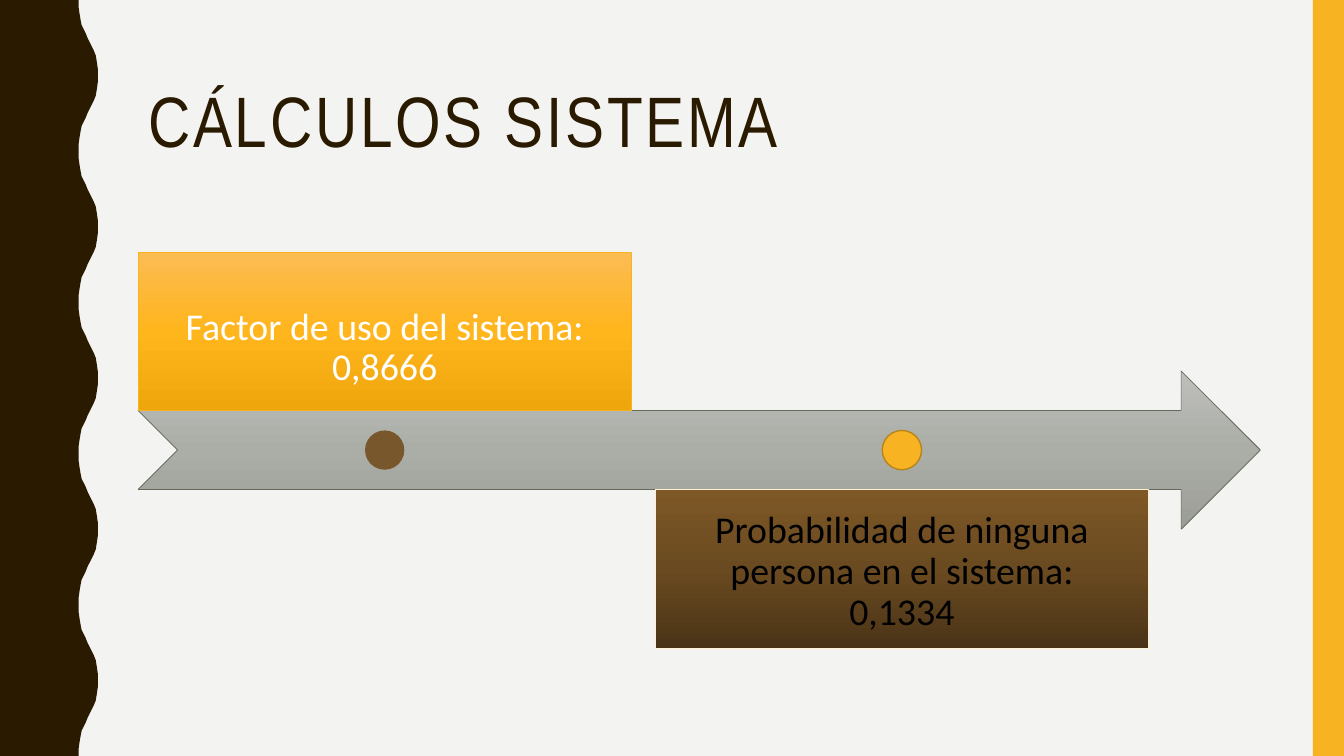
from copy import deepcopy
from pptx import Presentation
from pptx.dml.color import RGBColor
from pptx.enum.shapes import MSO_SHAPE as Kind
from pptx.enum.text import MSO_ANCHOR as Anchor, PP_ALIGN as Align
from pptx.oxml.ns import qn
from pptx.util import Inches, Pt


def color(code):
    return RGBColor.from_string(code)


def write(shape, text, font="Calibri", size=27, ink="000000", align=Align.CENTER,
          anchor=Anchor.TOP, inset=0.21, track=0):
    frame = shape.text_frame
    frame.word_wrap = True
    frame.vertical_anchor = anchor
    frame.margin_left = frame.margin_right = Inches(inset)
    frame.margin_top = frame.margin_bottom = Inches(inset)
    para = frame.paragraphs[0]
    para.alignment = align
    para.line_spacing = 0.9
    run = para.add_run()
    run.text = text
    run.font.name = font
    run.font.size = Pt(size)
    run.font.color.rgb = color(ink)
    if track:
        run.font._element.set("spc", str(track * 100))


class Deck:
    dark = "2A1A00"
    gold = "F8B323"
    brown = "78572C"
    back = "F3F3F2"

    def __init__(self):
        self.show = Presentation()
        self.show.slide_width = Inches(13.33)
        self.show.slide_height = Inches(7.5)
        self.slide = self.show.slides.add_slide(self.show.slide_layouts[6])
        fill = self.slide.background.fill
        fill.solid()
        fill.fore_color.rgb = color(self.back)

    def paint(self, shape, fill, line=None, width=0.5):
        shape.shadow.inherit = False
        if isinstance(fill, str):
            shape.fill.solid()
            shape.fill.fore_color.rgb = color(fill)
        else:
            self.blend(shape, fill)
        if line:
            shape.line.color.rgb = color(line)
            shape.line.width = Pt(width)
        else:
            shape.line.fill.background()
        return shape

    def blend(self, shape, tones):
        shape.fill.gradient()
        shape.fill.gradient_angle = 270
        stops = shape.element.spPr.find(".//" + qn("a:gsLst"))
        stops.insert(1, deepcopy(stops[0]))
        for i, (stop, tone) in enumerate(zip(shape.fill.gradient_stops, tones)):
            stop.color.rgb = color(tone)
            stop.position = i / 2

    def shape(self, kind, box, fill, line=None, width=0.5):
        item = self.slide.shapes.add_shape(kind, *map(Inches, box))
        return self.paint(item, fill, line, width)

    def text(self, box, text, **style):
        write(self.slide.shapes.add_textbox(*map(Inches, box)), text, **style)

    def wave(self, count, step):
        rise = [(0.78, 0), (0.78, 0.07), (0.79, 0.14), (0.8, 0.2), (0.81, 0.25),
                (0.83, 0.29), (0.85, 0.33), (0.87, 0.38), (0.89, 0.42), (0.91, 0.46),
                (0.93, 0.5), (0.95, 0.55), (0.96, 0.61), (0.97, 0.68)]
        fall = [(x, step - y) for x, y in reversed(rise)]
        cycle = rise + [(0.97, step / 2)] + fall
        edge = [(x, y + i * step) for i in range(count) for x, y in cycle]
        points = [(Inches(x), Inches(y)) for x, y in edge + [(0, count * step)]]
        pen = self.slide.shapes.build_freeform(0, 0)
        pen.add_line_segments(points, close=True)
        self.paint(pen.convert_to_shape(), self.dark)

    def dot(self, mid, fill, line=None):
        size = 0.39
        self.shape(Kind.OVAL, (mid - size / 2, 4.27, size, size), fill, line, 1)


def main():
    deck = Deck()
    deck.wave(5, 1.5)
    deck.shape(Kind.RECTANGLE, (13.02, 0, 0.31, 7.5), deck.gold)
    deck.text((1.37, 0.42, 11.13, 1.63), "CÁLCULOS SISTEMA", font="Arial Narrow", size=51,
              ink=deck.dark, align=Align.LEFT, anchor=Anchor.MIDDLE, inset=0.1, track=2)

    wide, high = 4.89, 1.57
    deck.shape(Kind.NOTCHED_RIGHT_ARROW, (1.37, 3.68, 11.13, high),
               ("BEBFBB", "ABADA7", "9B9E96"), "656A59")
    use = deck.shape(Kind.RECTANGLE, (1.37, 2.5, wide, high),
                     ("FBBC54", "FFB51C", "EFA60C"), deck.gold)
    write(use, "Factor de uso del sistema: 0,8666", ink="FFFFFF", anchor=Anchor.BOTTOM)
    deck.dot(1.37 + wide / 2, deck.brown)
    none = deck.shape(Kind.RECTANGLE, (6.5, 4.86, wide, high),
                      ("7E5826", "6A4A20", "4A3417"), "FEF0D3", 0.75)
    write(none, "Probabilidad de ninguna persona en el sistema: 0,1334")
    deck.dot(6.5 + wide / 2, deck.gold, "B7841A")
    deck.show.save("out.pptx")


if __name__ == "__main__":
    main()
